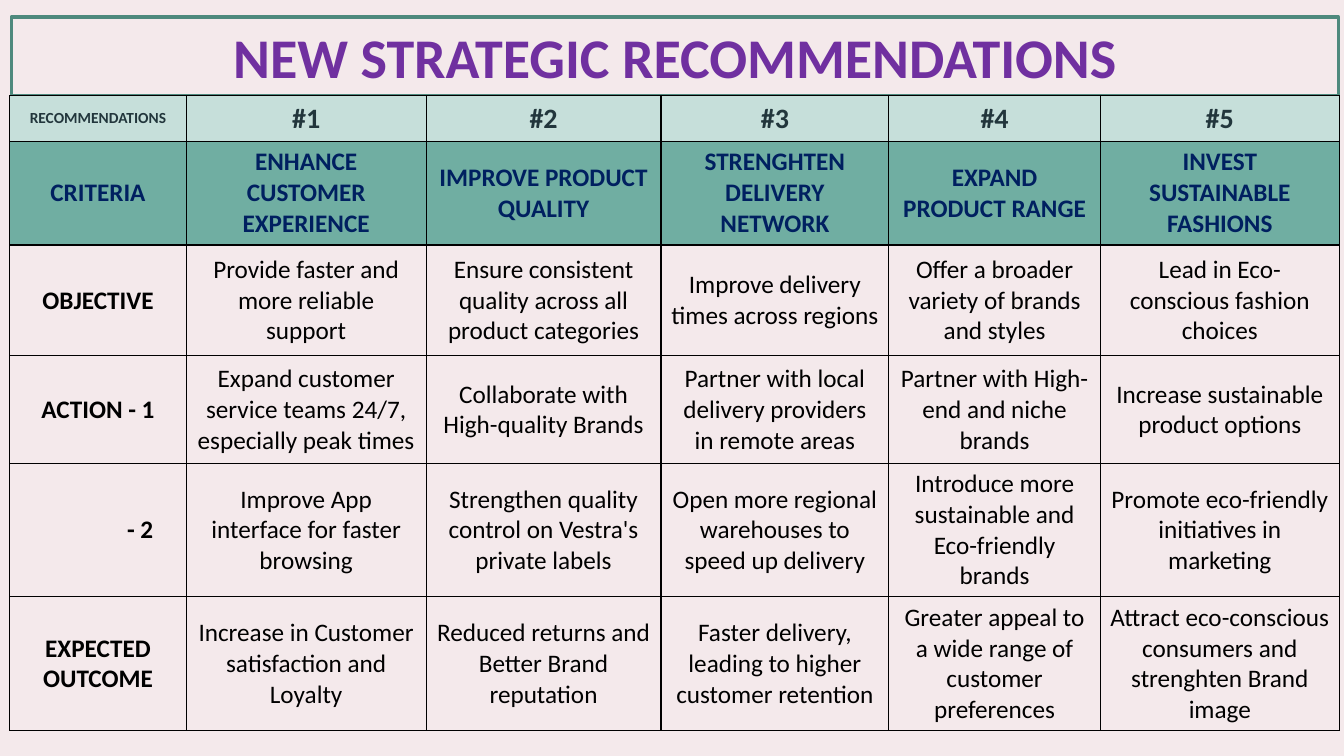
from dataclasses import dataclass

from lxml.etree import SubElement
from pptx import Presentation
from pptx.dml.color import RGBColor
from pptx.enum.text import MSO_ANCHOR as Anchor, MSO_AUTO_SIZE as AutoSize, PP_ALIGN as Align
from pptx.oxml.ns import qn
from pptx.slide import Slide
from pptx.table import _Cell as Cell
from pptx.text.text import TextFrame
from pptx.util import Pt

COLORS = {
    "background": "F4E9EB",
    "title": "7030A0",
    "frame": "4E897D",
    "number": "22363C",
    "number_fill": "C6DFDA",
    "criteria": "002060",
    "criteria_fill": "70AEA2",
    "black": "000000",
}
FONT = "Calibri"
COLUMN_WIDTHS = (126, 171.4, 167.8, 162.7, 151.2, 170.6)


@dataclass(frozen=True)
class Row:
    height: float
    label: str
    entries: tuple[str, ...]
    color: str = "black"
    fill: str | None = None
    label_size: float = 18
    entry_size: float = 18
    entry_bold: bool = False
    label_align: Align = Align.CENTER
    label_margin: float = 7.2


ROWS = (
    Row(32.4, "RECOMMENDATIONS", tuple(f"#{number}" for number in range(1, 6)),
        color="number", fill="number_fill", label_size=11, entry_size=20, entry_bold=True),
    Row(74.2, "CRITERIA", (
        "ENHANCE CUSTOMER EXPERIENCE",
        "IMPROVE PRODUCT QUALITY",
        "STRENGHTEN DELIVERY NETWORK",
        "EXPAND PRODUCT RANGE",
        "INVEST SUSTAINABLE FASHIONS",
    ), color="criteria", fill="criteria_fill", entry_bold=True),
    Row(79.2, "OBJECTIVE", (
        "Provide faster and more reliable support",
        "Ensure consistent quality across all product categories",
        "Improve delivery times across regions",
        "Offer a broader variety of brands and styles",
        "Lead in Eco-conscious fashion choices",
    )),
    Row(77, "ACTION - 1", (
        "Expand customer service teams 24/7, especially peak times",
        "Collaborate with High-quality Brands",
        "Partner with local delivery providers in remote areas",
        "Partner with High-end and niche brands",
        "Increase sustainable product options",
    )),
    Row(95, "- 2", (
        "Improve App interface for faster browsing",
        "Strengthen quality control on Vestra's private labels",
        "Open more regional warehouses to speed up delivery",
        "Introduce more sustainable and Eco-friendly brands",
        "Promote eco-friendly initiatives in marketing",
    ), label_align=Align.RIGHT, label_margin=23.6),
    Row(95.8, "EXPECTED OUTCOME", (
        "Increase in Customer satisfaction and Loyalty",
        "Reduced returns and Better Brand reputation",
        "Faster delivery, leading to higher customer retention",
        "Greater appeal to a wide range of customer preferences",
        "Attract eco-conscious consumers and strenghten Brand image",
    )),
)


def rgb(name: str) -> RGBColor:
    return RGBColor.from_string(COLORS[name])


def write_text(frame: TextFrame, text: str, *, size: float, color: str,
               bold: bool = False, align: Align = Align.CENTER) -> None:
    para = frame.paragraphs[0]
    para.alignment = align
    span = para.add_run()
    span.text = text
    span.font.name = FONT
    span.font.size = Pt(size)
    span.font.bold = bold
    span.font.color.rgb = rgb(color)


def add_borders(cell: Cell) -> None:
    properties = cell._tc.get_or_add_tcPr()
    for side in ("lnL", "lnR", "lnT", "lnB"):
        line = SubElement(properties, qn(f"a:{side}"), w=str(Pt(1)))
        fill = SubElement(line, qn("a:solidFill"))
        SubElement(fill, qn("a:srgbClr"), val=COLORS["black"])


def format_cell(cell: Cell, fill: str | None) -> None:
    add_borders(cell)
    cell.vertical_anchor = Anchor.MIDDLE
    if fill is None:
        cell.fill.background()
    else:
        cell.fill.solid()
        cell.fill.fore_color.rgb = rgb(fill)


def add_title(page: Slide) -> None:
    title = page.shapes.title
    title.left, title.top, title.width, title.height = Pt(7.9), Pt(12.2), Pt(948.2), Pt(55.8)
    title.line.color.rgb = rgb("frame")
    title.line.width = Pt(2.25)
    frame = title.text_frame
    frame.word_wrap = True
    frame.auto_size = AutoSize.NONE
    frame.vertical_anchor = Anchor.MIDDLE
    write_text(frame, "NEW STRATEGIC RECOMMENDATIONS", size=40, color="title", bold=True)


def add_recommendations(page: Slide) -> None:
    table = page.shapes.add_table(
        len(ROWS), len(COLUMN_WIDTHS), Pt(7), Pt(68.4),
        Pt(sum(COLUMN_WIDTHS)), Pt(sum(row.height for row in ROWS))).table
    table.first_row = False
    table.horz_banding = False
    for column, width in zip(table.columns, COLUMN_WIDTHS):
        column.width = Pt(width)
    for table_row, row in zip(table.rows, ROWS):
        table_row.height = Pt(row.height)
        label, *entries = table_row.cells
        for cell in (label, *entries):
            format_cell(cell, row.fill)
        label.margin_right = Pt(row.label_margin)
        write_text(label.text_frame, row.label, size=row.label_size, color=row.color,
                   bold=True, align=row.label_align)
        for cell, text in zip(entries, row.entries):
            write_text(cell.text_frame, text, size=row.entry_size, color=row.color,
                       bold=row.entry_bold)


def main() -> None:
    deck = Presentation()
    deck.slide_width, deck.slide_height = Pt(960), Pt(540)
    page = deck.slides.add_slide(deck.slide_layouts.get_by_name("Title Only"))
    page.background.fill.solid()
    page.background.fill.fore_color.rgb = rgb("background")
    add_title(page)
    add_recommendations(page)
    deck.save("out.pptx")


if __name__ == "__main__":
    main()
